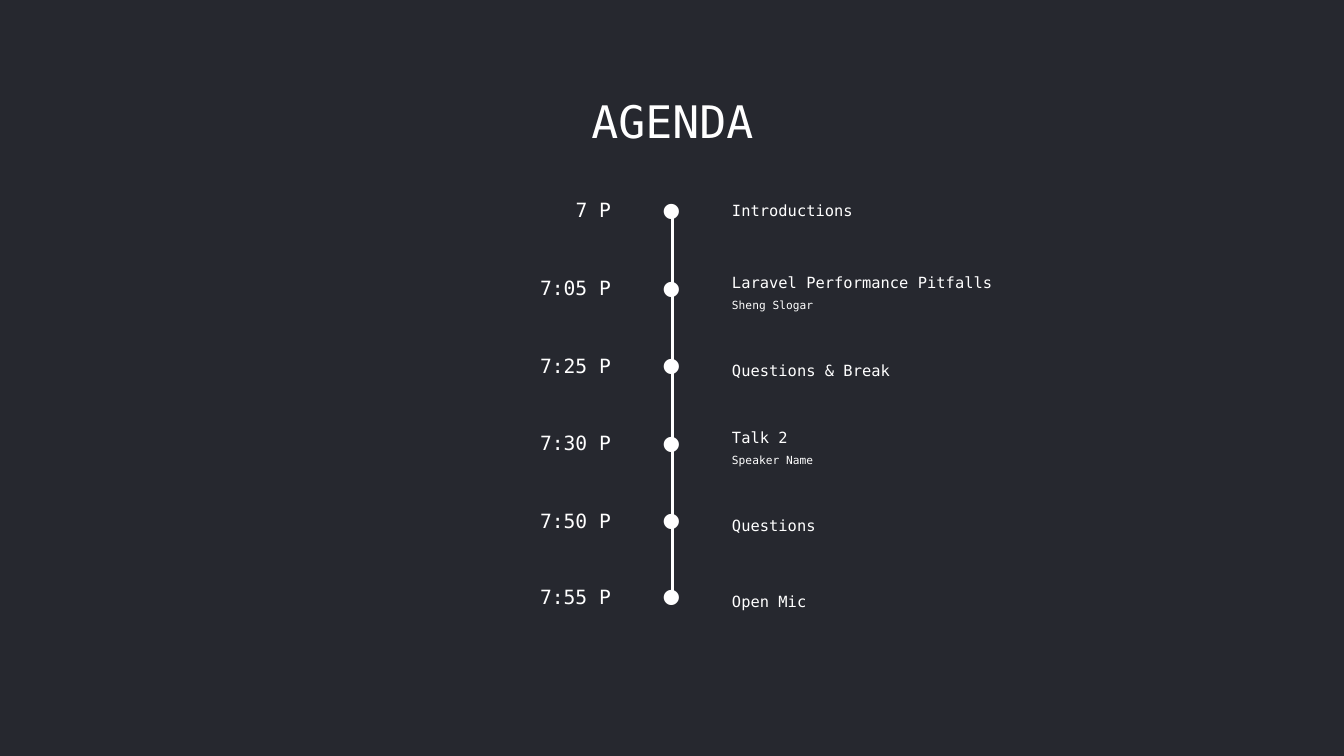
from dataclasses import dataclass

from pptx import Presentation
from pptx.dml.color import RGBColor
from pptx.enum import shapes, text
from pptx.oxml.ns import qn
from pptx.util import Inches, Pt
from lxml import etree

TITLE = "AGENDA"
AGENDA = [  # time, topic, speaker, topic line spacing
    ("7 P", "Introductions", None, 1.0),
    ("7:05 P", "Laravel Performance Pitfalls", "Sheng Slogar", 1.5),
    ("7:25 P", "Questions & Break", None, 1.5),
    ("7:30 P", "Talk 2", "Speaker Name", 1.5),
    ("7:50 P", "Questions", None, 1.5),
    ("7:55 P", "Open Mic", None, 1.5),
]


@dataclass(frozen=True)
class Theme:
    background: RGBColor = RGBColor.from_string("26282F")
    ink: RGBColor = RGBColor.from_string("FFFFFF")
    mono: str = "DejaVu Sans Mono"
    dot_font: str = "Arial"
    title: int = 32
    time: int = 14
    dot: int = 40
    topic: int = 11
    speaker: int = 8


THEME = Theme()
COLUMNS = (2.96, 1, 3.18)
WIDTH = sum(COLUMNS)
LEFT, TOP = 3.2, 1.71
ROW, LAST_ROW = 0.77, 0.74
NO_GRID_STYLE = "{2D5ABB26-0587-4C30-8999-92F81FD0307C}"
ALIGN = text.PP_ALIGN


def write(frame, lines, align, spacing=1.0):
    """Fill a text frame with (words, size, font) lines."""
    for index, (words, size, font) in enumerate(lines):
        para = frame.add_paragraph() if index else frame.paragraphs[0]
        para.text = words
        para.alignment = align
        para.line_spacing = spacing
        para.font.size = Pt(size)
        para.font.name = font
        para.font.color.rgb = THEME.ink


def add_agenda(page):
    height = ROW * (len(AGENDA) - 1) + LAST_ROW
    frame = page.shapes.add_table(
        len(AGENDA), len(COLUMNS),
        Inches(LEFT), Inches(TOP), Inches(WIDTH), Inches(height))
    table = frame.table
    table.first_row = table.horz_banding = False
    table._tbl.tblPr.find(qn("a:tableStyleId")).text = NO_GRID_STYLE
    for column, width in zip(table.columns, COLUMNS):
        column.width = Inches(width)

    for index, (time, topic, speaker, spacing) in enumerate(AGENDA):
        last = index == len(AGENDA) - 1
        table.rows[index].height = Inches(LAST_ROW if last else ROW)
        details = [(topic, THEME.topic, THEME.mono)]
        if speaker:
            details.append((speaker, THEME.speaker, THEME.mono))
        contents = [
            ([(time, THEME.time, THEME.mono)], ALIGN.RIGHT, 1.0),
            ([("•", THEME.dot, THEME.dot_font)], ALIGN.CENTER, 1.0),
            (details, ALIGN.LEFT, spacing),
        ]
        for cell, (lines, align, leading) in zip(table.rows[index].cells, contents):
            cell.fill.background()
            cell.vertical_anchor = text.MSO_ANCHOR.MIDDLE
            write(cell.text_frame, lines, align, leading)


def add_timeline(page):
    middle = Inches(LEFT + COLUMNS[0] + COLUMNS[1] / 2 + 0.01)
    line = page.shapes.add_connector(
        shapes.MSO_CONNECTOR.STRAIGHT, middle, Inches(2.1), middle, Inches(5.97))
    line.line.color.rgb = THEME.ink
    line.line.width = Pt(1.5)
    etree.SubElement(line._element.spPr, qn("a:effectLst"))


def add_title(page):
    box = page.shapes.add_shape(
        shapes.MSO_SHAPE.RECTANGLE,
        Inches(3.1), Inches(0.88), Inches(WIDTH), Inches(0.64))
    box.shadow.inherit = False
    box.fill.solid()
    box.fill.fore_color.rgb = THEME.background
    box.line.fill.background()
    write(box.text_frame, [(TITLE, THEME.title, THEME.mono)], ALIGN.CENTER)


def main():
    deck = Presentation()
    deck.slide_width, deck.slide_height = Inches(13.33), Inches(7.5)
    page = deck.slides.add_slide(deck.slide_layouts[6])
    page.background.fill.solid()
    page.background.fill.fore_color.rgb = THEME.background
    add_agenda(page)
    add_timeline(page)
    add_title(page)
    deck.save("out.pptx")


if __name__ == "__main__":
    main()
